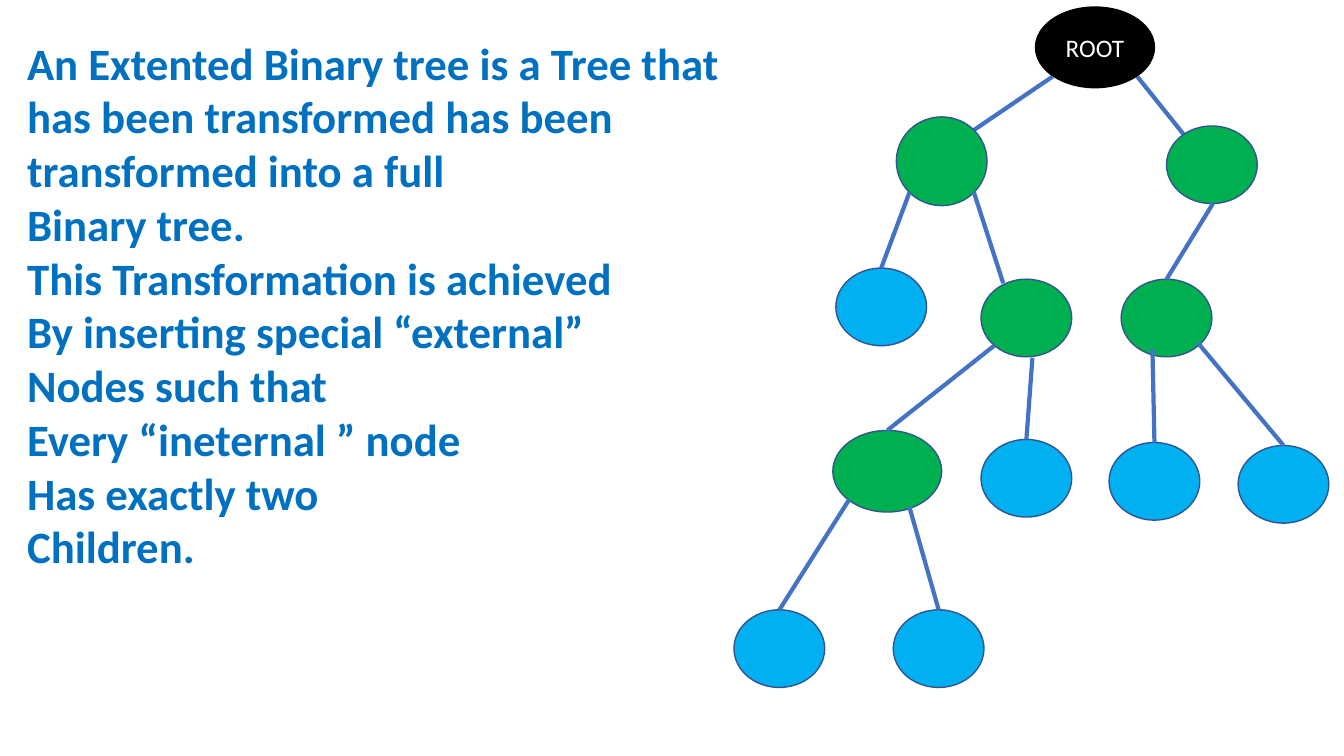
from dataclasses import dataclass

import pptx
import pptx.dml.color
import pptx.enum.shapes
import pptx.enum.text
import pptx.oxml.ns
import pptx.presentation
import pptx.slide
import pptx.text.text
import pptx.util
from lxml import etree

RGBColor = pptx.dml.color.RGBColor
BLACK = RGBColor(0x00, 0x00, 0x00)
WHITE = RGBColor(0xFF, 0xFF, 0xFF)
INTERNAL_GREEN = RGBColor(0x00, 0xB0, 0x50)
EXTERNAL_BLUE = RGBColor(0x00, 0xB0, 0xF0)
OUTLINE_BLUE = RGBColor(0x32, 0x54, 0x91)
EDGE_BLUE = RGBColor(0x44, 0x72, 0xC4)
TEXT_BLUE = RGBColor(0x00, 0x70, 0xC0)

FONT = "Calibri"
EMU_PER_PX = 9144  # 100 px to the inch
NODE_WIDTH, NODE_HEIGHT = 90, 77


@dataclass(frozen=True)
class Node:
    left: int
    top: int
    fill: RGBColor
    width: int = NODE_WIDTH
    height: int = NODE_HEIGHT
    outline: RGBColor = OUTLINE_BLUE
    label: str = ""


@dataclass(frozen=True)
class Edge:
    start_x: int
    start_y: int
    end_x: int
    end_y: int


DEFINITION = [
    "An Extented Binary tree is a Tree that has been transformed has been transformed into a full",
    "Binary tree.",
    "This Transformation is achieved",
    "By inserting special “external”",
    "Nodes such that",
    "Every “ineternal ” node",
    "Has exactly two",
    "Children.",
]

NODES = [
    Node(1027, 7, BLACK, 118, 80, BLACK, "ROOT"),
    Node(889, 116, INTERNAL_GREEN, height=88),
    Node(1157, 125, INTERNAL_GREEN),
    Node(973, 277, INTERNAL_GREEN),
    Node(1112, 277, INTERNAL_GREEN),
    Node(826, 427, INTERNAL_GREEN, 108, 81),
    Node(829, 266, EXTERNAL_BLUE),
    Node(973, 436, EXTERNAL_BLUE),
    Node(1100, 439, EXTERNAL_BLUE),
    Node(1228, 442, EXTERNAL_BLUE),
    Node(728, 605, EXTERNAL_BLUE),
    Node(886, 605, EXTERNAL_BLUE),
]

ROOT_EDGES = [Edge(1044, 76, 966, 129), Edge(1128, 76, 1221, 192)]

LOWER_EDGES = [
    Edge(902, 191, 874, 266),
    Edge(966, 191, 995, 281),
    Edge(1203, 202, 1157, 277),
    Edge(986, 343, 880, 427),
    Edge(1024, 355, 1018, 436),
    Edge(1143, 346, 1145, 439),
    Edge(1188, 340, 1273, 442),
    Edge(842, 496, 773, 605),
    Edge(902, 503, 931, 605),
]


def px(length: int) -> pptx.util.Emu:
    return pptx.util.Emu(length * EMU_PER_PX)


def write_text(
    frame: pptx.text.text.TextFrame,
    lines: list[str],
    *,
    size: int,
    color: RGBColor,
    bold: bool = False,
    align: pptx.enum.text.PP_ALIGN = pptx.enum.text.PP_ALIGN.LEFT,
) -> None:
    frame.word_wrap = True
    for index, line in enumerate(lines):
        paragraph = frame.add_paragraph() if index else frame.paragraphs[0]
        paragraph.alignment = align
        run = paragraph.add_run()
        run.text = line
        run.font.name = FONT
        run.font.size = pptx.util.Pt(size)
        run.font.bold = bold
        run.font.color.rgb = color


def draw_node(slide: pptx.slide.Slide, node: Node) -> None:
    shape = slide.shapes.add_shape(
        pptx.enum.shapes.MSO_SHAPE.OVAL,
        px(node.left), px(node.top), px(node.width), px(node.height),
    )
    shape.shadow.inherit = False
    shape.fill.solid()
    shape.fill.fore_color.rgb = node.fill
    shape.line.color.rgb = node.outline
    shape.line.width = pptx.util.Pt(1)
    if node.label:
        shape.text_frame.vertical_anchor = pptx.enum.text.MSO_ANCHOR.MIDDLE
        write_text(shape.text_frame, [node.label], size=18, color=WHITE,
                   align=pptx.enum.text.PP_ALIGN.CENTER)


def draw_edge(slide: pptx.slide.Slide, edge: Edge) -> None:
    connector = slide.shapes.add_connector(
        pptx.enum.shapes.MSO_CONNECTOR.STRAIGHT,
        px(edge.start_x), px(edge.start_y), px(edge.end_x), px(edge.end_y),
    )
    connector.line.color.rgb = EDGE_BLUE
    connector.line.width = pptx.util.Pt(3)
    etree.SubElement(connector._element.spPr, pptx.oxml.ns.qn("a:effectLst"))


def draw_definition(slide: pptx.slide.Slide) -> None:
    box = slide.shapes.add_textbox(px(17), px(30), px(728), px(549))
    box.text_frame.auto_size = pptx.enum.text.MSO_AUTO_SIZE.SHAPE_TO_FIT_TEXT
    write_text(box.text_frame, DEFINITION, size=32, color=TEXT_BLUE, bold=True)


def build_presentation() -> pptx.presentation.Presentation:
    presentation = pptx.Presentation()
    presentation.slide_width = px(1333)
    presentation.slide_height = px(750)
    blank_layout = presentation.slide_layouts[6]
    slide = presentation.slides.add_slide(blank_layout)

    draw_definition(slide)
    # The nodes cover the far ends of the root's edges.
    for edge in ROOT_EDGES:
        draw_edge(slide, edge)
    for node in NODES:
        draw_node(slide, node)
    for edge in LOWER_EDGES:
        draw_edge(slide, edge)
    return presentation


def main() -> None:
    presentation = build_presentation()
    presentation.save("out.pptx")


if __name__ == "__main__":
    main()
